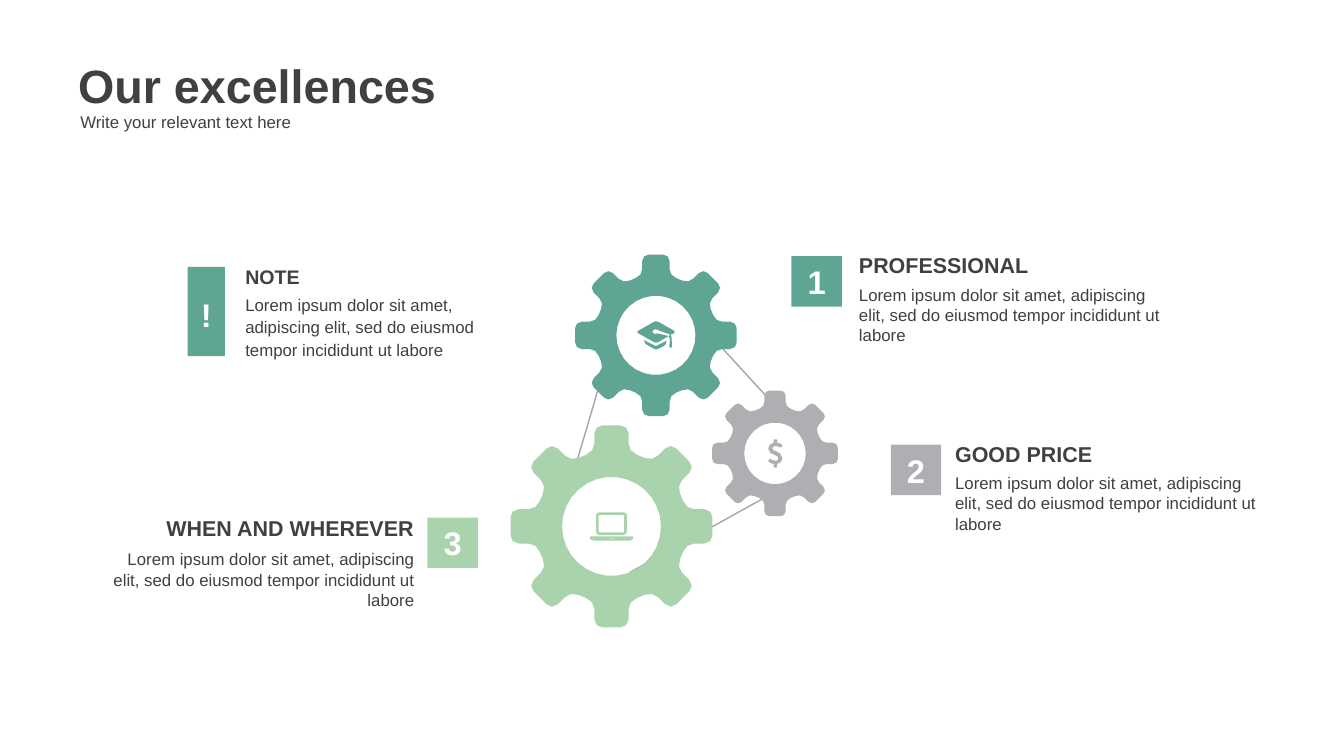
import math
import pptx
import pptx.util
import pptx.dml.color
import pptx.enum.shapes
import pptx.enum.text
import pptx.oxml

Pt = pptx.util.Pt
RGB = pptx.dml.color.RGBColor.from_string
ALIGN = pptx.enum.text.PP_ALIGN
ANCHOR = pptx.enum.text.MSO_ANCHOR
RECTANGLE = pptx.enum.shapes.MSO_SHAPE.RECTANGLE
COLORS = {"teal": "5FA593", "gray": "AEAFB2", "green": "A8D3AC",
          "line": "A6A6A6", "text": "404040", "white": "FFFFFF"}
LOREM = ("Lorem ipsum dolor sit amet, adipiscing elit, "
         "sed do eiusmod tempor incididunt ut labore")

deck = pptx.Presentation()
deck.slide_width, deck.slide_height = Pt(1440), Pt(810)
page = deck.slides.add_slide(deck.slide_layouts[5])


def draw_outline(contours, center_x, center_y, scale, color):
    builder = None
    for contour in contours:
        points = []
        for step in contour:
            if len(step) == 6:
                start = points[-1]
                points.append(tuple(
                    (start[i] + 3 * step[i] + 3 * step[i + 2] + step[i + 4]) / 8
                    for i in (0, 1)))
            points.append(step[-2:])
        placed = [(Pt(center_x + x * scale), Pt(center_y + y * scale)) for x, y in points]
        if builder is None:
            builder = page.shapes.build_freeform(*placed[0], scale=1.0)
        else:
            builder.move_to(*placed[0])
        builder.add_line_segments(placed[1:], close=True)
    shape = builder.convert_to_shape()
    shape.shadow.inherit = False
    shape.fill.solid()
    shape.fill.fore_color.rgb = RGB(COLORS[color])
    shape.line.fill.background()


def write(box, text, size, bold=False, color="text", align=ALIGN.LEFT,
          anchor=ANCHOR.TOP, inset=(10.8, 5.8), spacing=None):
    frame = box.text_frame
    frame.text = text
    frame.word_wrap = True
    frame.auto_size = pptx.enum.text.MSO_AUTO_SIZE.NONE
    frame.vertical_anchor = anchor
    frame.margin_left = frame.margin_right = Pt(inset[0])
    frame.margin_top = frame.margin_bottom = Pt(inset[1])
    para = frame.paragraphs[0]
    para.alignment = align
    para.space_before = Pt(0)
    para.line_spacing = spacing
    span = para.runs[0]
    span.font.name = "Arial"
    span.font.size = Pt(size)
    span.font.bold = bold
    span.font.color.rgb = RGB(COLORS[color])


for start_x, start_y, end_x, end_y in [
        (730, 325, 858, 465), (854, 514, 674.5, 613.5), (662.5, 343.5, 599, 559.5)]:
    link = page.shapes.add_connector(
        pptx.enum.shapes.MSO_CONNECTOR.STRAIGHT,
        Pt(start_x), Pt(start_y), Pt(end_x), Pt(end_y))
    link.line.color.rgb = RGB(COLORS["line"])
    link.line.width = Pt(1.5)
    link._element.spPr.append(pptx.oxml.parse_xml(
        '<a:effectLst xmlns:a="http://schemas.openxmlformats.org/drawingml/2006/main"/>'))

tooth = [
    (0.71, -0.25), (0.73, -0.2, 0.77, -0.17, 0.82, -0.17), (0.92, -0.17),
    (0.97, -0.17, 1, -0.13, 1, -0.09), (1, 0.09), (1, 0.13, 0.97, 0.17, 0.92, 0.17),
    (0.82, 0.17), (0.77, 0.17, 0.73, 0.2, 0.71, 0.25)]
rim = []
for turn in range(8):
    cosine, sine = math.cos(turn * math.pi / 4), math.sin(turn * math.pi / 4)
    for step in tooth:
        turned = []
        for x, y in zip(step[::2], step[1::2]):
            turned += [x * cosine - y * sine, x * sine + y * cosine]
        rim.append(tuple(turned))
hole = [(0.49 * math.cos(math.radians(angle)), -0.49 * math.sin(math.radians(angle)))
        for angle in range(0, 360, 12)]

cap = [
    [(20, 17), (22, 19), (24, 17), (25, 3, 22, -1, 22, -1), (19, 1), (21, 6)],
    [(27, -7), (4, -20), (0, -21), (-3, -20), (-26, -7), (-28, -5), (-26, -3),
     (-3, 10), (0, 11), (4, 10), (19, 1), (2, -3), (0, -2), (-4, -3), (-5, -5),
     (-4, -8), (0, -9), (4, -8), (5, -7), (22, -1), (27, -3), (28, -5)],
    [(-18, 7), (-17, 12, -15, 14, -10, 16), (-4, 19, -2, 21, 0, 21),
     (2, 21, 5, 19, 10, 17), (16, 14, 14, 14, 16, 8), (0, 16)]]
dollar = [
    [(3, 16), (3, 20), (2, 21), (-1, 21), (-2, 20), (-2, 16),
     (-7, 15, -10, 12, -10, 12), (-10, 11), (-8, 8), (-7, 8), (-7, 8, -4, 11, 1, 11),
     (3, 11, 5, 10, 5, 7), (5, 5, 3, 4, -1, 2), (-5, 1, -10, -1, -10, -7),
     (-10, -12, -7, -15, -2, -16), (-2, -21), (3, -21), (3, -16),
     (8, -16, 10, -13, 10, -13), (11, -12), (9, -9), (7, -9),
     (7, -9, 5, -11, 1, -11), (-2, -11, -4, -10, -4, -7), (-4, -5, -1, -4, 2, -3),
     (6, -1, 11, 1, 11, 7), (11, 11, 8, 15, 3, 16)]]
laptop = [
    [(-3, 17), (3, 17), (3, 18), (-3, 18)],
    [(-19, 7), (-18, 9), (18, 9), (19, 7), (19, -16), (18, -17), (-18, -17), (-19, -16)],
    [(-23, 7), (-23, -16), (-23, -19, -21, -21, -18, -21), (18, -21),
     (21, -21, 23, -19, 23, -16), (23, 7), (23, 10, 21, 13, 18, 13), (-18, 13),
     (-21, 13, -23, 10, -23, 7)],
    [(32, 15), (32, 18), (32, 20, 29, 21, 26, 21), (-26, 21),
     (-29, 21, -32, 20, -32, 18), (-32, 15)]]

for center_x, center_y, radius, color, icon in [
        (702.75, 359.3, 86.5, "teal", cap),
        (830.4, 485.8, 67.3, "gray", dollar),
        (655.2, 564, 108.2, "green", laptop)]:
    draw_outline([rim, hole], center_x, center_y, radius, color)
    draw_outline(icon, center_x, center_y, 0.72, color)

badges = [
    ("!", "teal", 201, 286, 40, 95.5, Pt(48)),
    ("1", "teal", 848, 274.5, 54, 54, None),
    ("2", "gray", 954.5, 476.5, 54, 54, None),
    ("3", "green", 458, 554.5, 54, 54, None)]
for mark, color, left, top, width, height, spacing in badges:
    badge = page.shapes.add_shape(RECTANGLE, Pt(left), Pt(top), Pt(width), Pt(height))
    badge.shadow.inherit = False
    badge.fill.solid()
    badge.fill.fore_color.rgb = RGB(COLORS[color])
    badge.line.fill.background()
    write(badge, mark, 35, True, "white", ALIGN.CENTER, ANCHOR.MIDDLE, (0, 0), spacing)

callouts = [
    ("NOTE", 21, 252, 278.5, 308, 295, ALIGN.LEFT, 1.1),
    ("PROFESSIONAL", 23, 909.5, 264.5, 299, 351, ALIGN.LEFT, None),
    ("GOOD PRICE", 23, 1012.5, 466.5, 501, 351, ALIGN.LEFT, None),
    ("WHEN AND WHEREVER", 23, 103.5, 546.5, 582.5, 351, ALIGN.RIGHT, None)]
for heading, size, left, heading_top, body_top, width, align, spacing in callouts:
    box = page.shapes.add_textbox(Pt(left), Pt(heading_top), Pt(width), Pt(34.5))
    write(box, heading, size, True, align=align)
    box = page.shapes.add_textbox(Pt(left), Pt(body_top), Pt(width), Pt(96))
    write(box, LOREM, 18, align=align, spacing=spacing)

title = page.shapes.title
title.left, title.top, title.width, title.height = Pt(76.5), Pt(57), Pt(603.5), Pt(67.5)
write(title, "Our excellences", 50, True, align=ALIGN.JUSTIFY, inset=(7.2, 3.6))
subtitle = page.shapes.add_textbox(Pt(79), Pt(116), Pt(651), Pt(29))
write(subtitle, "Write your relevant text here", 18, inset=(7.2, 3.6))

deck.save("out.pptx")
